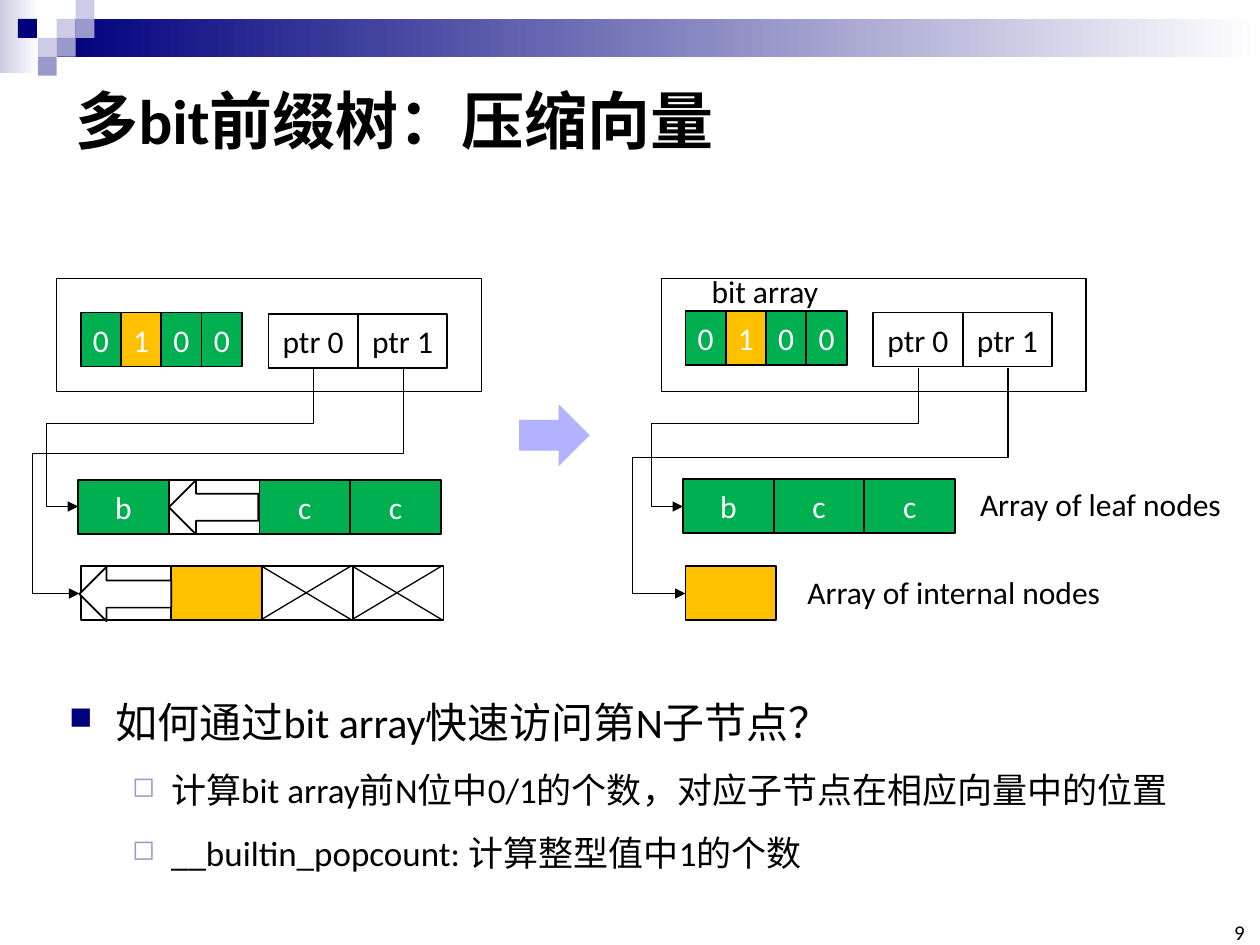
from dataclasses import dataclass

from lxml.etree import SubElement
from pptx import Presentation
from pptx.dml.color import RGBColor
from pptx.enum.shapes import MSO_CONNECTOR, MSO_SHAPE
from pptx.enum.text import MSO_ANCHOR, PP_ALIGN
from pptx.oxml.ns import qn
from pptx.util import Inches, Pt

HUES = {"navy": "00007D", "mid": "9999CC", "pale": "CCCCE6", "lilac": "B2B2FF",
        "green": "00B050", "gold": "FFC000", "white": "FFFFFF", "black": "000000"}
CODES = {"g": "green", "y": "gold", "w": "white"}


@dataclass
class Row:
    left: float
    top: float
    width: float
    hues: str
    words: tuple = ()
    ink: str = "white"


@dataclass
class Wire:
    start: tuple
    end: tuple
    turn: float
    lane: float


@dataclass
class Label:
    text: str
    left: float
    top: float
    width: float


@dataclass
class Point:
    text: str
    size: int
    level: int
    margin: float
    hang: float
    mark: str
    hue: str
    scale: int


def tint(name: str) -> RGBColor:
    return RGBColor.from_string(HUES[name])


def style(para, size: float, hue: str = "black", bold: bool = False) -> None:
    for run in para.runs:
        font = run.font
        font.name, font.size, font.bold = "Calibri", Pt(size), bold
        font.color.rgb = tint(hue)


def block(left: float, top: float, width: float, height: float, fill: str = "",
          line: float = 0, kind=MSO_SHAPE.RECTANGLE):
    shape = slide.shapes.add_shape(kind, Inches(left), Inches(top), Inches(width), Inches(height))
    shape.shadow.inherit = False
    if fill:
        shape.fill.solid()
        shape.fill.fore_color.rgb = tint(fill)
    else:
        shape.fill.background()
    if line:
        shape.line.color.rgb = tint("black")
        shape.line.width = Pt(line)
    else:
        shape.line.fill.background()
    return shape


def fade(left: float, top: float, width: float, height: float, hue: str) -> None:
    fill = block(left, top, width, height).fill
    fill.gradient()
    fill.gradient_angle = 0
    for stop, name in zip(fill.gradient_stops, (hue, "white")):
        stop.color.rgb = tint(name)


def text_box(left: float, top: float, width: float, height: float):
    box = slide.shapes.add_textbox(Inches(left), Inches(top), Inches(width), Inches(height))
    return box.text_frame


def draw_row(row: Row) -> None:
    words = row.words or ("",) * len(row.hues)
    for i, (code, word) in enumerate(zip(row.hues, words)):
        cell = block(row.left + i * row.width, row.top, row.width, 0.43, CODES[code], 1)
        if word:
            frame = cell.text_frame
            frame.text, frame.word_wrap = word, False
            frame.vertical_anchor = MSO_ANCHOR.MIDDLE
            frame.paragraphs[0].alignment = PP_ALIGN.CENTER
            style(frame.paragraphs[0], 18, row.ink)


def link(kind, x1: float, y1: float, x2: float, y2: float):
    line = slide.shapes.add_connector(kind, Inches(x1), Inches(y1), Inches(x2), Inches(y2))
    line.line.color.rgb = tint("black")
    line.line.width = Pt(0.75)
    SubElement(line._element.spPr, qn("a:effectLst"))
    return line


def draw_wire(wire: Wire) -> None:
    (x1, y1), (x2, y2) = wire.start, wire.end
    wide, high = x1 - x2, y2 - y1
    left, top = (x1 + x2 - high) / 2, (y1 + y2 - wide) / 2
    line = link(MSO_CONNECTOR.ELBOW, left, top, left + high, top + wide)
    props = line._element.spPr
    props.find(qn("a:xfrm")).set("rot", "5400000")
    geom = props.find(qn("a:prstGeom"))
    geom.set("prst", "bentConnector4")
    guides = geom.find(qn("a:avLst"))
    if guides is None:
        guides = SubElement(geom, qn("a:avLst"))
    ratios = ((wire.turn - y1) / high, (x1 - wire.lane) / wide)
    for i, ratio in enumerate(ratios, 1):
        SubElement(guides, qn("a:gd"), name=f"adj{i}", fmla=f"val {round(ratio * 100000)}")
    SubElement(props.find(qn("a:ln")), qn("a:tailEnd"), type="triangle")


def draw_node(left: float, wires: list, rows: list) -> None:
    block(left, 2.21, 3.37, 0.9, line=0.75)
    for wire in wires:
        draw_wire(wire)
    for row in rows:
        draw_row(row)


def draw_point(para, point: Point) -> None:
    para.text = point.text
    para.level = point.level
    para.line_spacing = 1.5
    style(para, point.size)
    props = para._p.get_or_add_pPr()
    props.set("marL", str(Inches(point.margin)))
    props.set("indent", str(Inches(-point.hang)))
    tone = SubElement(props, qn("a:buClr"))
    SubElement(tone, qn("a:srgbClr"), val=HUES[point.hue])
    SubElement(props, qn("a:buSzPct"), val=str(point.scale * 1000))
    SubElement(props, qn("a:buChar"), char=point.mark)


deck = Presentation()
deck.slide_width, deck.slide_height = Inches(10), Inches(7.5)
slide = deck.slides.add_slide(deck.slide_layouts[5])

fade(0, 0, 0.31, 0.58, "pale")
fade(0.45, 0.15, 9.55, 0.3, "navy")
for col, step, hue in ((3, 1, "pale"), (4, 0, "pale"), (4, 1, "mid"), (2, 2, "pale"),
                       (0.95, 1, "navy"), (3, 2, "mid"), (2, 3, "mid")):
    block(col * 0.15, step * 0.15, 0.15, 0.15, hue)

title = slide.shapes.title
title.left, title.top, title.width, title.height = map(Inches, (0.5, 0.5, 9, 0.89))
title.text_frame.text = "多bit前缀树：压缩向量"
title.text_frame.vertical_anchor = MSO_ANCHOR.MIDDLE
title.text_frame.paragraphs[0].alignment = PP_ALIGN.LEFT
style(title.text_frame.paragraphs[0], 36, bold=True)

BITS, PTRS = ("0", "1", "0", "0"), ("ptr 0", "ptr 1")
draw_node(0.45,
          [Wire((2.49, 2.92), (0.62, 4.02), 3.36, 0.37),
           Wire((3.2, 2.92), (0.63, 4.71), 3.6, 0.26)],
          [Row(0.62, 3.81, 0.72, "gwgg", ("b", "", "c", "c")),
           Row(0.64, 4.49, 0.72, "wyww"),
           Row(0.64, 2.48, 0.32, "gygg", BITS),
           Row(2.13, 2.49, 0.71, "ww", PTRS, "black")])
for left, top, width in ((1.34, 3.81, 0.71), (0.63, 4.5, 0.73)):
    block(left, top, width, 0.43, "white", 1, MSO_SHAPE.RIGHT_ARROW).rotation = 180
for left in (2.07, 2.79):
    for y1, y2 in ((4.49, 4.92), (4.92, 4.49)):
        link(MSO_CONNECTOR.STRAIGHT, left, y1, left + 0.72, y2)

block(4.12, 3.21, 0.56, 0.49, "lilac", kind=MSO_SHAPE.RIGHT_ARROW)

draw_node(5.25,
          [Wire((7.29, 2.92), (5.42, 4.02), 3.36, 5.17),
           Wire((8, 2.92), (5.44, 4.71), 3.63, 5.02)],
          [Row(5.42, 3.8, 0.72, "ggg", ("b", "c", "c")),
           Row(5.44, 4.49, 0.72, "y"),
           Row(5.44, 2.47, 0.32, "gygg", BITS),
           Row(6.93, 2.48, 0.71, "ww", PTRS, "black")])
for label in (Label("bit array", 5.55, 2.11, 1.06),
              Label("Array of leaf nodes", 7.68, 3.8, 2.14),
              Label("Array of internal nodes", 6.31, 4.5, 2.55)):
    frame = text_box(label.left, label.top, label.width, 0.4)
    frame.text, frame.word_wrap = label.text, False
    style(frame.paragraphs[0], 18)

body = text_box(0.45, 5.28, 9, 1.77)
body.word_wrap = True
SUB = (20, 1, 0.81, 0.31, "◻", "mid", 80)
points = (Point("如何通过bit array快速访问第N子节点？", 24, 0, 0.37, 0.37, "■", "navy", 75),
          Point("计算bit array前N位中0/1的个数，对应子节点在相应向量中的位置", *SUB),
          Point("__builtin_popcount: 计算整型值中1的个数", *SUB))
for i, point in enumerate(points):
    draw_point(body.add_paragraph() if i else body.paragraphs[0], point)

page = text_box(9.65, 7.33, 0.23, 0.17)
page.margin_left = page.margin_right = page.margin_top = page.margin_bottom = 0
page.text, page.vertical_anchor = "9", MSO_ANCHOR.BOTTOM
page.word_wrap = True
page.paragraphs[0].alignment = PP_ALIGN.RIGHT
style(page.paragraphs[0], 12)

deck.save("out.pptx")
